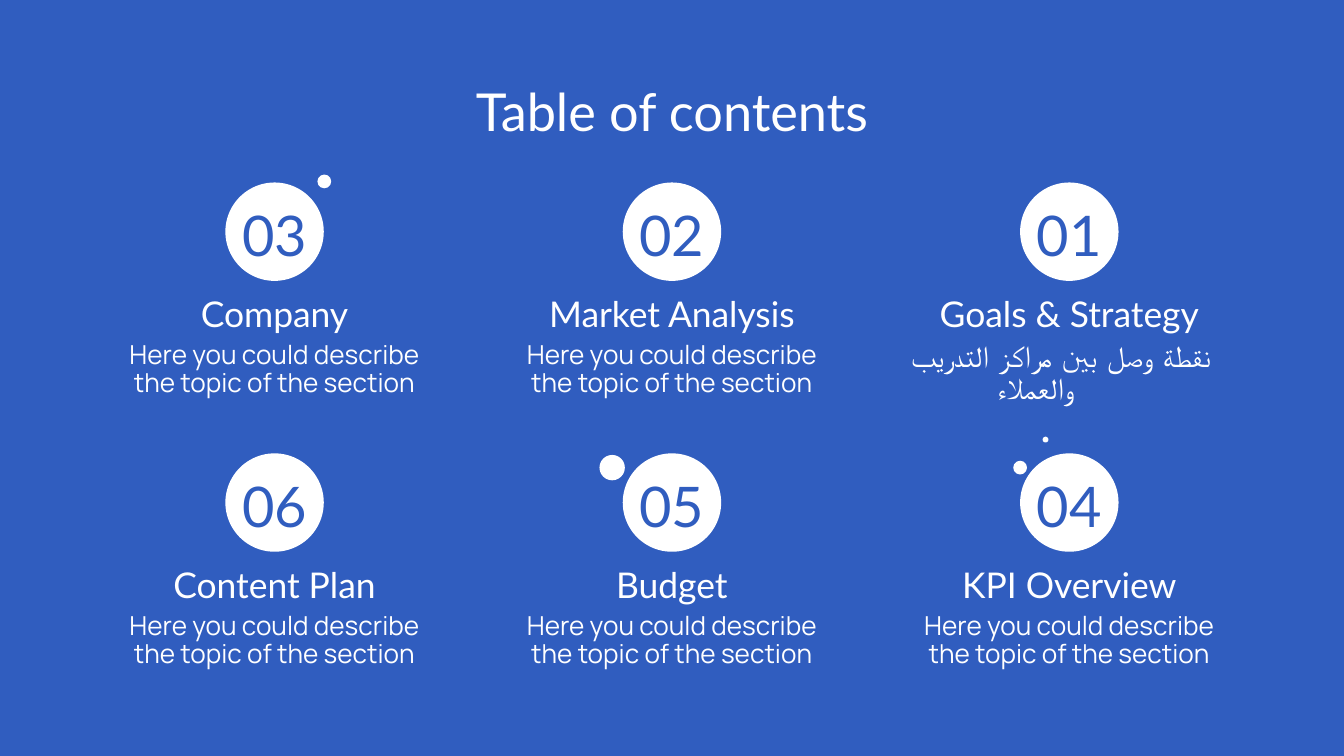
"""Build the table of contents slide."""
from lxml import etree
from pptx import Presentation
from pptx import util as u
from pptx.dml.color import RGBColor
from pptx.enum import shapes, text
from pptx.oxml import ns

THEME = {
    "blue": RGBColor.from_string("305DBF"),
    "white": RGBColor.from_string("FFFFFF"),
    "title": ("Lato", 28),
    "number": ("Lato", 30),
    "head": ("Lato", 19),
    "body": ("Manrope", 14),
    "arabic": ("Comic Neue", 16),
}
TITLE = "Table of contents"
BODY = "Here you could describe the topic of the section"
ARABIC = "نقطة وصل بين مراكز التدريب والعملاء"
ROWS = [
    [("03", "Company", BODY), ("02", "Market Analysis", BODY),
     ("01", "Goals & Strategy", ARABIC)],
    [("06", "Content Plan", BODY), ("05", "Budget", BODY),
     ("04", "KPI Overview", BODY)],
]
DOTS = [(6.13, 3.43, 0.26), (19.28, 8.84, 0.26),
        (19.76, 8.31, 0.11), (11.57, 8.84, 0.48)]

WIDE, HIGH = 25.4, 14.29
COL, ROW = 7.51, 5.12
TOP, DISC, CELL = 3.45, 1.86, 6.74


def add_disc(slide, x, y, size):
    disc = slide.shapes.add_shape(
        shapes.MSO_SHAPE.OVAL, u.Cm(x - size / 2), u.Cm(y - size / 2),
        u.Cm(size), u.Cm(size))
    disc.shadow.inherit = False
    disc.fill.solid()
    disc.fill.fore_color.rgb = THEME["white"]
    disc.line.fill.background()


def add_text(slide, words, style, x, y, wide, high, tint="white"):
    box = slide.shapes.add_textbox(
        u.Cm(x - wide / 2), u.Cm(y), u.Cm(wide), u.Cm(high))
    frame = box.text_frame
    frame.word_wrap = True
    frame.margin_left = frame.margin_right = u.Cm(0.25)
    frame.margin_top = frame.margin_bottom = u.Cm(0.25)
    para = frame.paragraphs[0]
    para.alignment = text.PP_ALIGN.CENTER
    run = para.add_run()
    run.text = words
    run.font.name, size = THEME[style]
    run.font.size = u.Pt(size)
    run.font.color.rgb = THEME[tint]
    return frame


def set_rtl(para):
    props = para._p.get_or_add_pPr()
    props.set("rtl", "1")
    props.set("marL", str(u.Cm(1.27)))
    props.set("indent", str(u.Cm(-0.97)))
    font = para.runs[0].font
    face = etree.SubElement(font._element, ns.qn("a:cs"))
    face.set("typeface", font.name)


def add_topic(slide, x, y, number, head, body):
    add_disc(slide, x, y + DISC / 2, DISC)
    frame = add_text(slide, number, "number", x, y, DISC, DISC, "blue")
    frame.vertical_anchor = text.MSO_ANCHOR.BOTTOM
    add_text(slide, head, "head", x, y + 1.83, CELL, 1.17)
    style = "arabic" if body == ARABIC else "body"
    para = add_text(slide, body, style, x, y + 2.76, CELL, 1.86).paragraphs[0]
    para.line_spacing = 0.9
    if style == "arabic":
        set_rtl(para)


def main():
    deck = Presentation()
    deck.slide_width, deck.slide_height = u.Cm(WIDE), u.Cm(HIGH)
    slide = deck.slides.add_slide(deck.slide_layouts[6])
    slide.background.fill.solid()
    slide.background.fill.fore_color.rgb = THEME["blue"]
    add_text(slide, TITLE, "title", WIDE / 2, 1.25, 23.67, 1.6)
    for row, topics in enumerate(ROWS):
        for col, topic in enumerate(topics):
            add_topic(slide, WIDE / 2 + (col - 1) * COL, TOP + row * ROW, *topic)
    for dot in DOTS:
        add_disc(slide, *dot)
    deck.save("out.pptx")


if __name__ == "__main__":
    main()
